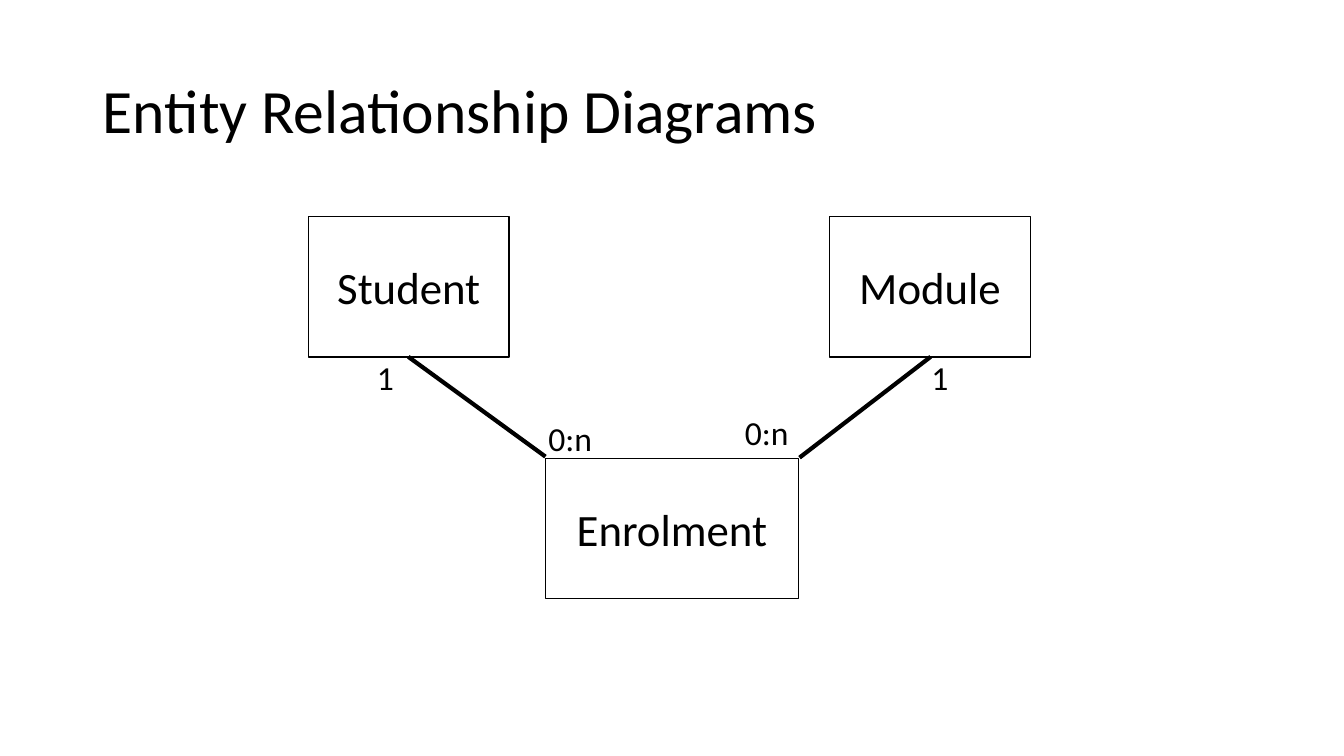
from lxml.etree import SubElement
from pptx import Presentation
from pptx.dml.color import RGBColor
from pptx.enum.shapes import MSO_CONNECTOR, MSO_SHAPE
from pptx.enum.text import MSO_ANCHOR, MSO_AUTO_SIZE, PP_ALIGN
from pptx.oxml.ns import qn
from pptx.util import Inches, Pt


def color(hex_string):
    return RGBColor.from_string(hex_string)


class DiagramSlide:
    font_name = "Calibri"
    ink = "000000"

    def __init__(self, slide):
        self.slide = slide

    def add_text(self, text_frame, text, size, alignment=PP_ALIGN.LEFT):
        paragraph = text_frame.paragraphs[0]
        paragraph.alignment = alignment
        run = paragraph.add_run()
        run.text = text
        run.font.name = self.font_name
        run.font.size = Pt(size)
        run.font.color.rgb = color(self.ink)
        return paragraph

    def title(self, text, left, top, width, height):
        title = self.slide.shapes.title
        title.left, title.top = Inches(left), Inches(top)
        title.width, title.height = Inches(width), Inches(height)
        title.text_frame.vertical_anchor = MSO_ANCHOR.MIDDLE
        title.text_frame.auto_size = MSO_AUTO_SIZE.NONE
        self.add_text(title.text_frame, text, 44).line_spacing = 0.9

    def entity(self, name, left, top, width, height=1.39):
        shape = self.slide.shapes.add_shape(
            MSO_SHAPE.RECTANGLE, Inches(left), Inches(top), Inches(width), Inches(height))
        shape.shadow.inherit = False
        shape.fill.background()
        shape.line.color.rgb = color(self.ink)
        shape.line.width = Pt(1)
        shape.text_frame.vertical_anchor = MSO_ANCHOR.MIDDLE
        self.add_text(shape.text_frame, name, 32, PP_ALIGN.CENTER)

    def relationship(self, start, end):
        connector = self.slide.shapes.add_connector(
            MSO_CONNECTOR.STRAIGHT, *(Inches(value) for value in start + end))
        connector.line.color.rgb = color(self.ink)
        connector.line.width = Pt(3)
        SubElement(connector._element.spPr, qn("a:effectLst"))

    def cardinality(self, text, left, top, width):
        box = self.slide.shapes.add_textbox(
            Inches(left), Inches(top), Inches(width), Inches(0.5))
        box.text_frame.word_wrap = False
        box.text_frame.auto_size = MSO_AUTO_SIZE.SHAPE_TO_FIT_TEXT
        self.add_text(box.text_frame, text, 24)


def main():
    presentation = Presentation()
    presentation.slide_width = Inches(13.33)
    presentation.slide_height = Inches(7.5)
    title_only = presentation.slide_layouts[5]
    diagram = DiagramSlide(presentation.slides.add_slide(title_only))

    diagram.title("Entity Relationship Diagrams", 0.92, 0.4, 11.5, 1.45)
    diagram.entity("Student", 3.06, 2.15, 1.99)
    diagram.entity("Module", 8.23, 2.15, 1.99)
    diagram.entity("Enrolment", 5.41, 4.55, 2.51)

    diagram.relationship((4.05, 3.54), (5.41, 4.53))
    diagram.cardinality("1", 3.64, 3.49, 0.37)
    diagram.cardinality("0:n", 5.34, 4.1, 0.64)

    diagram.relationship((9.23, 3.54), (7.93, 4.54))
    diagram.cardinality("1", 9.14, 3.49, 0.37)
    diagram.cardinality("0:n", 7.29, 4.04, 0.64)

    presentation.save("out.pptx")


if __name__ == "__main__":
    main()
